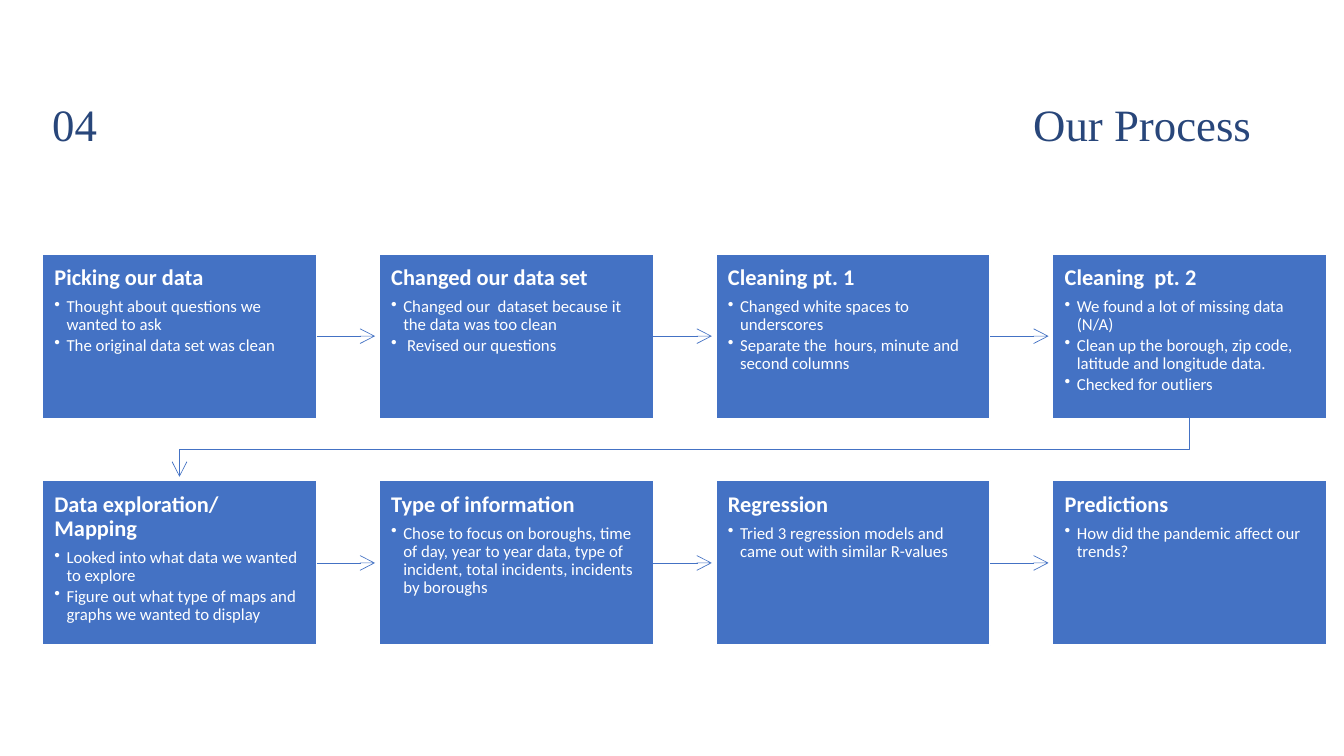
"""Build the process slide: eight steps on a grid, joined by arrows."""
from dataclasses import dataclass

from lxml import etree
from pptx import Presentation
from pptx.dml.color import RGBColor
from pptx.enum.shapes import MSO_CONNECTOR, MSO_SHAPE
from pptx.enum.text import MSO_ANCHOR, MSO_AUTO_SIZE, PP_ALIGN
from pptx.oxml.ns import qn
from pptx.util import Inches, Pt

STRAIGHT, RECT = MSO_CONNECTOR.STRAIGHT, MSO_SHAPE.RECTANGLE
TOP, BOTTOM, FIXED = MSO_ANCHOR.TOP, MSO_ANCHOR.BOTTOM, MSO_AUTO_SIZE.NONE
LEFT, RIGHT = PP_ALIGN.LEFT, PP_ALIGN.RIGHT

NAVY, BLUE, WHITE = "28467A", "4472C4", "FFFFFF"
SERIF, SANS = "Times New Roman", "Calibri"
COLS = 4
GRID_X, GRID_Y = 0.42, 2.52
STEP_X, STEP_Y = 3.34, 2.25
BOX_W, BOX_H = 2.72, 1.63
PAD, GAP = 0.12, 0.04


@dataclass(frozen=True)
class Step:
    """A heading and its bullet points."""
    head: str
    points: tuple[str, ...]


STEPS = (
    Step("Picking our data", ("Thought about questions we wanted to ask",
                              "The original data set was clean")),
    Step("Changed our data set", ("Changed our  dataset because it the data was too clean",
                                  " Revised our questions")),
    Step("Cleaning pt. 1", ("Changed white spaces to underscores",
                            "Separate the  hours, minute and second columns")),
    Step("Cleaning  pt. 2", ("We found a lot of missing data (N/A)",
                             "Clean up the borough, zip code, latitude and longitude data.",
                             "Checked for outliers")),
    Step("Data exploration/ Mapping", ("Looked into what data we wanted to explore",
                                       "Figure out what type of maps and graphs we wanted to display")),
    Step("Type of information", ("Chose to focus on boroughs, time of day, year to year data, "
                                 "type of incident, total incidents, incidents by boroughs",)),
    Step("Regression", ("Tried 3 regression models and came out with similar R-values",)),
    Step("Predictions", ("How did the pandemic affect our trends?",)),
)


def color(code: str) -> RGBColor:
    """Turn a hex string into a colour."""
    return RGBColor.from_string(code)


def spot(index: int) -> tuple[float, float]:
    """Give the left and top of a step's grid cell."""
    row, col = divmod(index, COLS)
    return GRID_X + col * STEP_X, GRID_Y + row * STEP_Y


def style(para, face: str, size: float, code: str, bold: bool = False) -> None:
    """Set the font of a whole paragraph."""
    font = para.font
    font.name, font.size, font.bold = face, Pt(size), bold
    font.color.rgb = color(code)


def label(shape, text: str, align, anchor) -> None:
    """Write a large serif line into a shape."""
    frame = shape.text_frame
    frame.text = text
    frame.word_wrap, frame.auto_size = True, FIXED
    frame.vertical_anchor = anchor
    para = frame.paragraphs[0]
    para.alignment = align
    para.line_spacing = 0.9 if align == RIGHT else 1.0
    style(para, SERIF, 32, NAVY)


def point(line) -> None:
    """Give a line its colour, width and arrowhead."""
    line.line.color.rgb = color(BLUE)
    line.line.width = Pt(0.5)
    etree.SubElement(line.line._get_or_add_ln(), qn("a:tailEnd"),
                     type="arrow", w="lg", len="lg")


def arrow(slide, index: int) -> None:
    """Draw a straight arrow from a step to its right neighbour."""
    x, y = spot(index)
    mid = Inches(y + BOX_H / 2)
    line = slide.shapes.add_connector(STRAIGHT, Inches(x + BOX_W), mid,
                                      Inches(x + STEP_X - GAP), mid)
    point(line)
    etree.SubElement(line._element.spPr, qn("a:effectLst"))


def turn(slide, index: int) -> None:
    """Draw the bent arrow from a row's end to the next row's start."""
    (x, y), (to_x, to_y) = spot(index), spot(index + 1)
    start, end = x + BOX_W / 2, to_x + BOX_W / 2
    low, mid = y + BOX_H, (y + BOX_H + to_y) / 2
    path = slide.shapes.build_freeform(Inches(start), Inches(low))
    path.add_line_segments([(Inches(a), Inches(b)) for a, b in
                            ((start, mid), (end, mid), (end, to_y - GAP))], close=False)
    line = path.convert_to_shape()
    line.fill.background()
    line.shadow.inherit = False
    point(line)


def bullet(para) -> None:
    """Turn a paragraph into a hanging bullet."""
    para.level = 1
    props = para._p.get_or_add_pPr()
    props.set("marL", str(Inches(PAD)))
    props.set("indent", str(-Inches(PAD)))
    etree.SubElement(props, qn("a:buChar"), char="•")


def box(slide, index: int, step: Step) -> None:
    """Draw a step's box with its text."""
    x, y = spot(index)
    shape = slide.shapes.add_shape(RECT, Inches(x), Inches(y), Inches(BOX_W), Inches(BOX_H))
    shape.shadow.inherit = False
    shape.fill.solid()
    shape.fill.fore_color.rgb = color(BLUE)
    shape.line.color.rgb = color(WHITE)
    shape.line.width = Pt(1)
    frame = shape.text_frame
    frame.word_wrap, frame.vertical_anchor = True, TOP
    frame.margin_left = frame.margin_right = Inches(PAD)
    frame.margin_top = frame.margin_bottom = Inches(PAD)
    for rank, text in enumerate((step.head, *step.points)):
        para = frame.add_paragraph() if rank else frame.paragraphs[0]
        para.text = text
        if rank:
            bullet(para)
        para.alignment, para.line_spacing = LEFT, 0.9
        para.space_after = Pt(1.8 if rank else 5.6)
        style(para, SANS, 12 if rank else 16, WHITE, not rank)


def main() -> None:
    """Build and save the slide."""
    deck = Presentation()
    deck.slide_width, deck.slide_height = Inches(13.33), Inches(7.5)
    slide = deck.slides.add_slide(deck.slide_layouts[5])
    title = slide.shapes.title
    title.left, title.top = Inches(5.91), Inches(0.42)
    title.width, title.height = Inches(6.6), Inches(1.13)
    label(title, "Our Process", RIGHT, BOTTOM)
    number = slide.shapes.add_textbox(Inches(GRID_X), Inches(0.91), Inches(3), Inches(0.64))
    label(number, "04", LEFT, TOP)
    for index, step in enumerate(STEPS):
        box(slide, index, step)
        if (index + 1) % COLS:
            arrow(slide, index)
        elif index + 1 < len(STEPS):
            turn(slide, index)
    deck.save("out.pptx")


if __name__ == "__main__":
    main()
